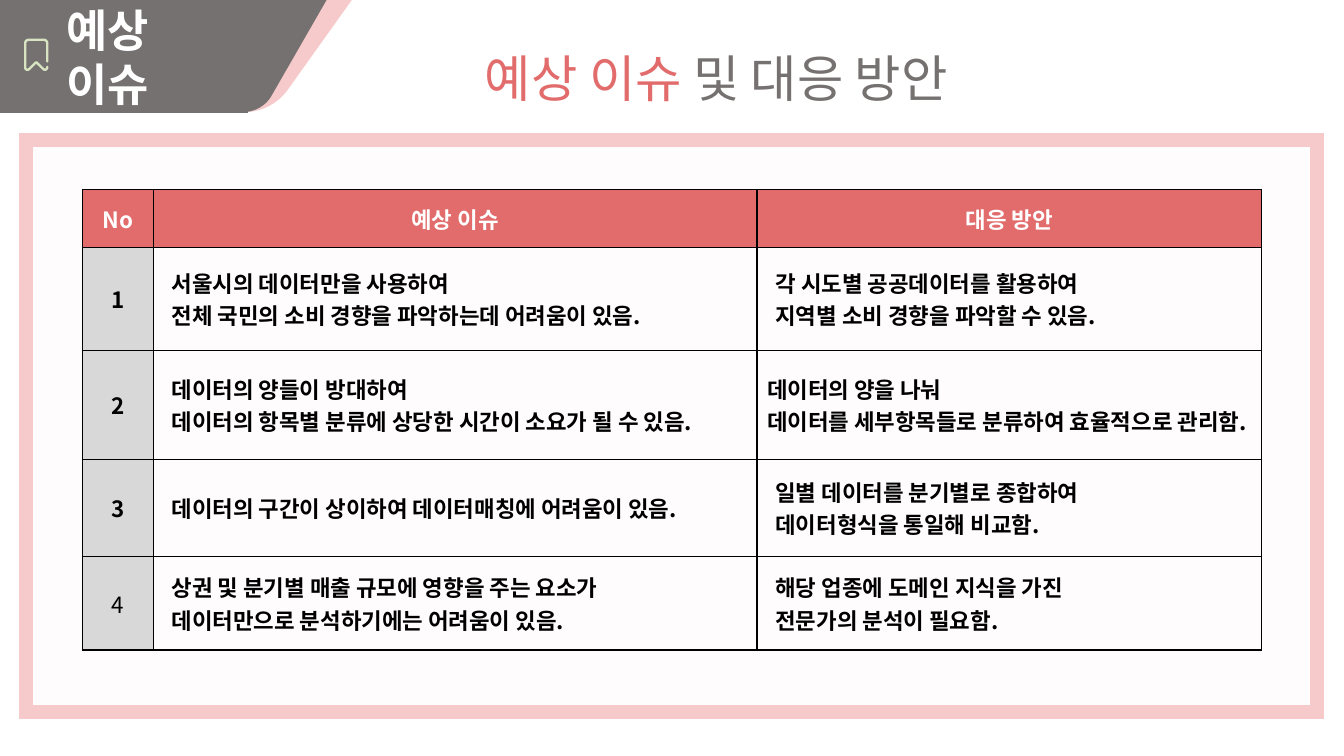
from dataclasses import dataclass

from lxml.etree import SubElement
from pptx import Presentation
from pptx.dml.color import RGBColor
from pptx.enum.shapes import MSO_SHAPE as Shape
from pptx.enum.text import MSO_ANCHOR as Anchor, MSO_AUTO_SIZE as AutoSize, PP_ALIGN as Align
from pptx.oxml.ns import qn
from pptx.util import Pt

FONT = "Noto Sans CJK KR"
WHITE = RGBColor(0xFF, 0xFF, 0xFF)
BLACK = RGBColor(0x00, 0x00, 0x00)
CORAL = RGBColor(0xE2, 0x6C, 0x6C)
PINK = RGBColor(0xF6, 0xCA, 0xCA)
PAPER = RGBColor(0xFE, 0xFC, 0xFC)
GRAY = RGBColor(0x76, 0x71, 0x71)
LIGHT_GRAY = RGBColor(0xD8, 0xD8, 0xD8)
LIME = RGBColor(0xD8, 0xE4, 0xC1)

Point = tuple[float, float]


@dataclass(frozen=True)
class Outline:
    """Steps hold one point for a line, three for a Bezier curve."""
    start: Point
    steps: tuple[tuple[Point, ...], ...]
    closed: bool = True


@dataclass(frozen=True)
class Issue:
    problem: tuple[str, ...]
    response: tuple[str, ...]
    response_indent: float = 6
    bold_number: bool = True


PINK_FLAP = Outline((152.6, 0), (
    ((251.3, 0),), ((206.6, 62.6),),
    ((194.4, 81.4), (169.2, 85.7), (151.2, 72.7)),
    ((132.5, 59.8), (128.2, 35.3), (141.1, 16.6)),
))
GRAY_FLAP = Outline((140.4, 0), (
    ((233.3, 0),), ((194.4, 67.7),),
    ((187.9, 79.9), (172.1, 83.5), (160.6, 77)), ((133.9, 61.9),),
    ((122.4, 54.7), (118.1, 39.6), (124.6, 27.4)),
))
BOOKMARK = Outline((33.8, 43.9), (
    ((33.8, 31),), ((33.8, 29.5), (32.5, 28.4), (31, 28.4)),
    ((20.9, 28.4),), ((19.2, 28.4), (18, 29.5), (18, 31)),
    ((18, 48.2),), ((18, 49.8), (19.7, 50.4), (20.8, 49.4)),
    ((25.9, 44.4),), ((31, 49.4),), ((32.2, 50.4), (33.8, 49.6), (33.8, 47.8)),
), closed=False)

HEADINGS = ("No", "예상 이슈", "대응 방안")
COLUMN_WIDTHS = (50.4, 431.3, 360.7)
ROW_HEIGHTS = (41.2, 73.6, 78.1, 69.3, 66.8)
ISSUES = (
    Issue(("서울시의 데이터만을 사용하여", "전체 국민의 소비 경향을 파악하는데 어려움이 있음."),
          ("각 시도별 공공데이터를 활용하여", "지역별 소비 경향을 파악할 수 있음.")),
    Issue(("데이터의 양들이 방대하여", "데이터의 항목별 분류에 상당한 시간이 소요가 될 수 있음."),
          ("데이터의 양을 나눠", "데이터를 세부항목들로 분류하여 효율적으로 관리함."),
          response_indent=0),
    Issue(("데이터의 구간이 상이하여 데이터매칭에 어려움이 있음.",),
          ("일별 데이터를 분기별로 종합하여", "데이터형식을 통일해 비교함.")),
    Issue(("상권 및 분기별 매출 규모에 영향을 주는 요소가", "데이터만으로 분석하기에는 어려움이 있음."),
          ("해당 업종에 도메인 지식을 가진", "전문가의 분석이 필요함."), bold_number=False),
)


def set_font(paragraph, size: float, color: RGBColor | None = None, bold: bool = False) -> None:
    font = paragraph.font
    font.size, font.bold, font.name = Pt(size), bold, FONT
    if color is not None:
        font.color.rgb = color
    defaults = paragraph._p.get_or_add_pPr().find(qn("a:defRPr"))
    SubElement(defaults, qn("a:ea")).set("typeface", FONT)


def set_indent(paragraph, left: float) -> None:
    properties = paragraph._p.get_or_add_pPr()
    properties.set("marL", str(Pt(left)))
    properties.set("indent", "0")


def set_margins(frame, left: float, top: float, right: float, bottom: float) -> None:
    frame.margin_left, frame.margin_top = Pt(left), Pt(top)
    frame.margin_right, frame.margin_bottom = Pt(right), Pt(bottom)


def add_rectangle(slide, left: float, top: float, width: float, height: float, fill: RGBColor):
    rectangle = slide.shapes.add_shape(Shape.RECTANGLE, Pt(left), Pt(top), Pt(width), Pt(height))
    rectangle.shadow.inherit = False
    rectangle.fill.solid()
    rectangle.fill.fore_color.rgb = fill
    rectangle.line.fill.background()
    return rectangle


def bezier(start: Point, control_1: Point, control_2: Point, end: Point, pieces: int = 16) -> list[Point]:
    points = []
    for piece in range(1, pieces + 1):
        t = piece / pieces
        weights = ((1 - t) ** 3, 3 * t * (1 - t) ** 2, 3 * t ** 2 * (1 - t), t ** 3)
        corners = (start, control_1, control_2, end)
        points.append(tuple(sum(w * c[axis] for w, c in zip(weights, corners)) for axis in (0, 1)))
    return points


def add_outline(slide, outline: Outline):
    points = [outline.start]
    for step in outline.steps:
        points += bezier(points[-1], *step) if len(step) == 3 else step
    corners = [(Pt(x), Pt(y)) for x, y in points]
    builder = slide.shapes.build_freeform(*corners[0], scale=1.0)
    builder.add_line_segments(corners[1:], close=outline.closed)
    shape = builder.convert_to_shape()
    shape.shadow.inherit = False
    return shape


def add_frame(slide) -> None:
    frame = add_rectangle(slide, 18.7, 100.1, 922.3, 408.2, PAPER)
    frame.line.color.rgb = PINK
    frame.line.width = Pt(10)
    SubElement(frame.line._get_or_add_ln(), qn("a:miter")).set("lim", "800000")


def add_section_tab(slide) -> None:
    for outline, color in ((PINK_FLAP, PINK), (GRAY_FLAP, GRAY)):
        flap = add_outline(slide, outline)
        flap.fill.solid()
        flap.fill.fore_color.rgb = color
        flap.line.fill.background()

    text = add_rectangle(slide, 0, 0, 177.1, 80.6, GRAY).text_frame
    text.word_wrap = True
    text.vertical_anchor = Anchor.MIDDLE
    set_margins(text, 11.5, 3.6, 7.2, 3.6)
    label = text.paragraphs[0]
    label.text = "예상 이슈"
    label.alignment = Align.LEFT
    set_indent(label, 36)
    set_font(label, 32, WHITE, bold=True)

    bookmark = add_outline(slide, BOOKMARK)
    bookmark.fill.background()
    bookmark.line.color.rgb = LIME
    bookmark.line.width = Pt(1.7)
    bookmark.line._get_or_add_ln().set("cap", "rnd")


def format_title(title) -> None:
    title.left, title.top, title.width, title.height = Pt(269.3), Pt(8.6), Pt(484.6), Pt(67)
    text = title.text_frame
    text.word_wrap = True
    text.auto_size = AutoSize.SHAPE_TO_FIT_TEXT
    text.vertical_anchor = Anchor.TOP
    set_margins(text, 7.2, 3.6, 7.2, 3.6)
    heading = text.paragraphs[0]
    heading.alignment = Align.CENTER
    heading.line_spacing = 1.5
    set_font(heading, 36)
    for words, color in (("예상 이슈 ", CORAL), ("및 대응 방안", GRAY)):
        run = heading.add_run()
        run.text = words
        run.font.color.rgb = color


def fill_cell(cell, lines: tuple[str, ...], fill: RGBColor | None = None, color: RGBColor = BLACK,
              bold: bool = True, align: Align = Align.CENTER, indent: float = 0) -> None:
    cell.vertical_anchor = Anchor.MIDDLE
    set_margins(cell, 7.2, 3, 7.2, 3)
    properties = cell._tc.get_or_add_tcPr()
    for side in ("L", "R", "T", "B"):
        border = SubElement(properties, qn(f"a:ln{side}"), w=str(Pt(1)))
        SubElement(SubElement(border, qn("a:solidFill")), qn("a:srgbClr")).set("val", str(BLACK))
    if fill is None:
        cell.fill.background()
    else:
        cell.fill.solid()
        cell.fill.fore_color.rgb = fill
    cell.text = "\n".join(lines)
    for paragraph in cell.text_frame.paragraphs:
        paragraph.alignment = align
        set_indent(paragraph, indent)
        set_font(paragraph, 16, color, bold)


def add_issue_table(slide) -> None:
    table = slide.shapes.add_table(len(ROW_HEIGHTS), len(COLUMN_WIDTHS), Pt(59), Pt(135.4),
                                   Pt(sum(COLUMN_WIDTHS)), Pt(sum(ROW_HEIGHTS))).table
    table.first_row = table.horz_banding = False
    for column, width in zip(table.columns, COLUMN_WIDTHS):
        column.width = Pt(width)
    for row, height in zip(table.rows, ROW_HEIGHTS):
        row.height = Pt(height)
    for column, heading in enumerate(HEADINGS):
        fill_cell(table.cell(0, column), (heading,), CORAL, WHITE)
    for number, issue in enumerate(ISSUES, start=1):
        fill_cell(table.cell(number, 0), (str(number),), LIGHT_GRAY, bold=issue.bold_number)
        fill_cell(table.cell(number, 1), issue.problem, align=Align.LEFT, indent=6)
        fill_cell(table.cell(number, 2), issue.response, align=Align.LEFT, indent=issue.response_indent)


def main() -> None:
    presentation = Presentation()
    presentation.slide_width, presentation.slide_height = Pt(960), Pt(540)
    slide = presentation.slides.add_slide(presentation.slide_layouts[5])
    add_frame(slide)
    add_section_tab(slide)
    format_title(slide.shapes.title)
    add_issue_table(slide)
    presentation.save("out.pptx")


if __name__ == "__main__":
    main()
